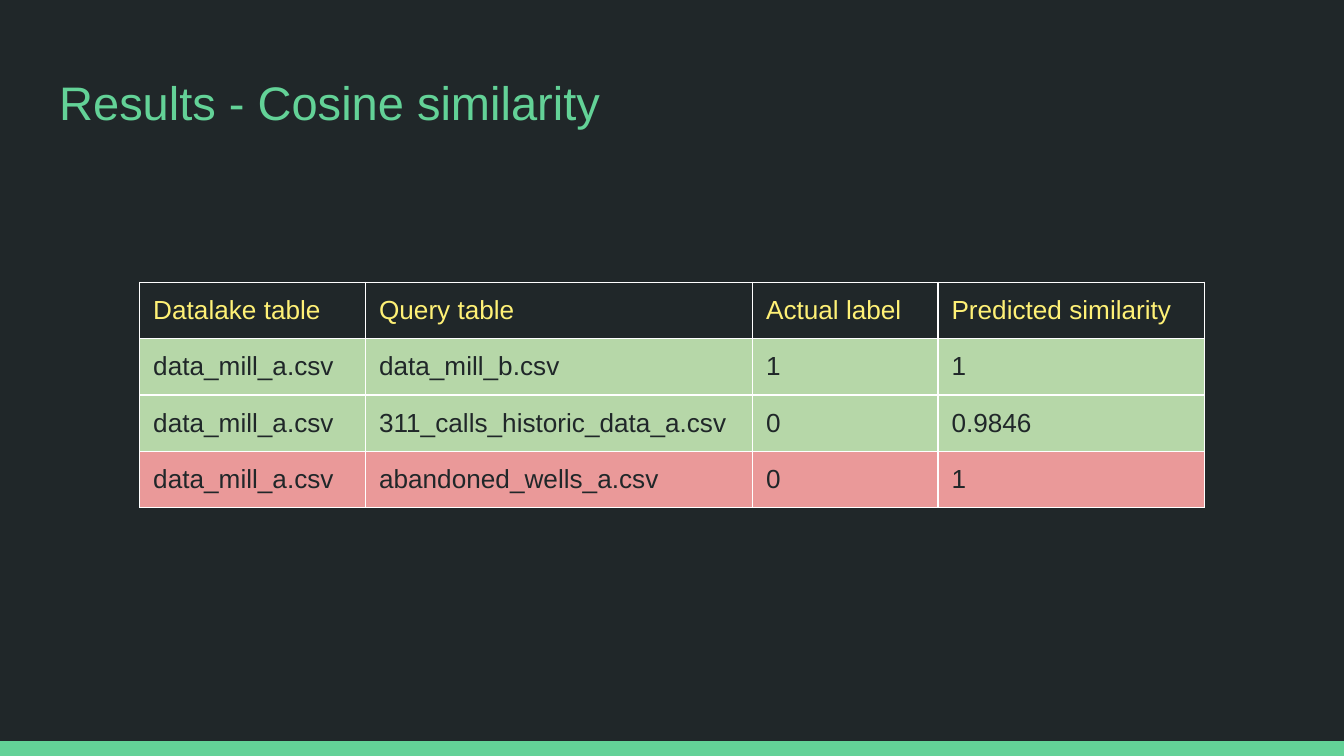
from lxml import etree
from pptx import Presentation
from pptx.dml import color
from pptx.enum import shapes, text
from pptx.oxml import ns
from pptx.util import Inches, Pt

COLOURS = {
    "background": "202729",
    "green": "63D297",
    "yellow": "FFF176",
    "match": "B6D7A8",
    "mismatch": "EA9999",
    "border": "FFFFFF",
}
PAGE_WIDTH = 10
PAGE_HEIGHT = PAGE_WIDTH * 9 / 16
BAR_HEIGHT = 0.11
HEADINGS = ["Datalake table", "Query table", "Actual label", "Predicted similarity"]
RESULTS = [
    ("match", ["data_mill_a.csv", "data_mill_b.csv", "1", "1"]),
    ("match", ["data_mill_a.csv", "311_calls_historic_data_a.csv", "0", "0.9846"]),
    ("mismatch", ["data_mill_a.csv", "abandoned_wells_a.csv", "0", "1"]),
]
COLUMN_WIDTHS = [1.68, 2.88, 1.38, 1.98]
ROW_HEIGHT = 0.42


def rgb(name):
    """Return the named colour."""
    return color.RGBColor.from_string(COLOURS[name])


def write(frame, words, size, colour):
    """Write one left-aligned paragraph in Arial."""
    frame.word_wrap = True
    para = frame.paragraphs[0]
    para.alignment = text.PP_ALIGN.LEFT
    span = para.add_run()
    span.text = words
    span.font.name = "Arial"
    span.font.size = Pt(size)
    span.font.color.rgb = rgb(colour)


def set_margins(target, margin=0.1):
    """Give a cell or text frame the same margin on every side."""
    for side in ("left", "right", "top", "bottom"):
        setattr(target, f"margin_{side}", Inches(margin))


def add_borders(cell, width=0.75):
    """Draw a line on each side of a cell."""
    properties = cell._tc.get_or_add_tcPr()
    for index, side in enumerate(("lnL", "lnR", "lnT", "lnB")):
        line = etree.Element(ns.qn(f"a:{side}"), w=str(Pt(width)))
        fill = etree.SubElement(line, ns.qn("a:solidFill"))
        etree.SubElement(fill, ns.qn("a:srgbClr"), val=COLOURS["border"])
        properties.insert(index, line)


def add_footer_bar(page, left, top, width, height):
    """Add the plain bar along the bottom edge."""
    bar = page.shapes.add_shape(
        shapes.MSO_SHAPE.RECTANGLE,
        Inches(left), Inches(top), Inches(width), Inches(height),
    )
    bar.shadow.inherit = False
    bar.fill.solid()
    bar.fill.fore_color.rgb = rgb("green")
    bar.line.fill.background()


def place_title(page, words, left, top, width, height):
    """Move and format the title placeholder."""
    title = page.shapes.title
    title.left, title.top = Inches(left), Inches(top)
    title.width, title.height = Inches(width), Inches(height)
    frame = title.text_frame
    frame.auto_size = text.MSO_AUTO_SIZE.NONE
    frame.vertical_anchor = text.MSO_ANCHOR.TOP
    set_margins(frame)
    write(frame, words, size=25.2, colour="green")


def add_results_table(page, left, top):
    """Add the table with a heading row and coloured result rows."""
    rows = [(None, HEADINGS)] + RESULTS
    table = page.shapes.add_table(
        len(rows), len(HEADINGS), Inches(left), Inches(top),
        Inches(sum(COLUMN_WIDTHS)), Inches(ROW_HEIGHT * len(rows)),
    ).table
    table.first_row = False
    table.horz_banding = False
    for column, width in zip(table.columns, COLUMN_WIDTHS):
        column.width = Inches(width)
    for row, (fill, values) in zip(table.rows, rows):
        row.height = Inches(ROW_HEIGHT)
        for cell, value in zip(row.cells, values):
            set_margins(cell)
            if fill:
                cell.fill.solid()
                cell.fill.fore_color.rgb = rgb(fill)
            else:
                cell.fill.background()
            add_borders(cell)
            write(cell.text_frame, value, size=14,
                  colour="background" if fill else "yellow")


def main():
    """Build and save the results slide."""
    deck = Presentation()
    deck.slide_width, deck.slide_height = Inches(PAGE_WIDTH), Inches(PAGE_HEIGHT)
    page = deck.slides.add_slide(deck.slide_layouts.get_by_name("Title Only"))
    page.background.fill.solid()
    page.background.fill.fore_color.rgb = rgb("background")
    add_footer_bar(page, 0, PAGE_HEIGHT - BAR_HEIGHT, PAGE_WIDTH, BAR_HEIGHT)
    place_title(page, "Results - Cosine similarity", 0.34, 0.45, 9.32, 0.63)
    add_results_table(page, 1.04, 2.1)
    deck.save("out.pptx")


if __name__ == "__main__":
    main()
